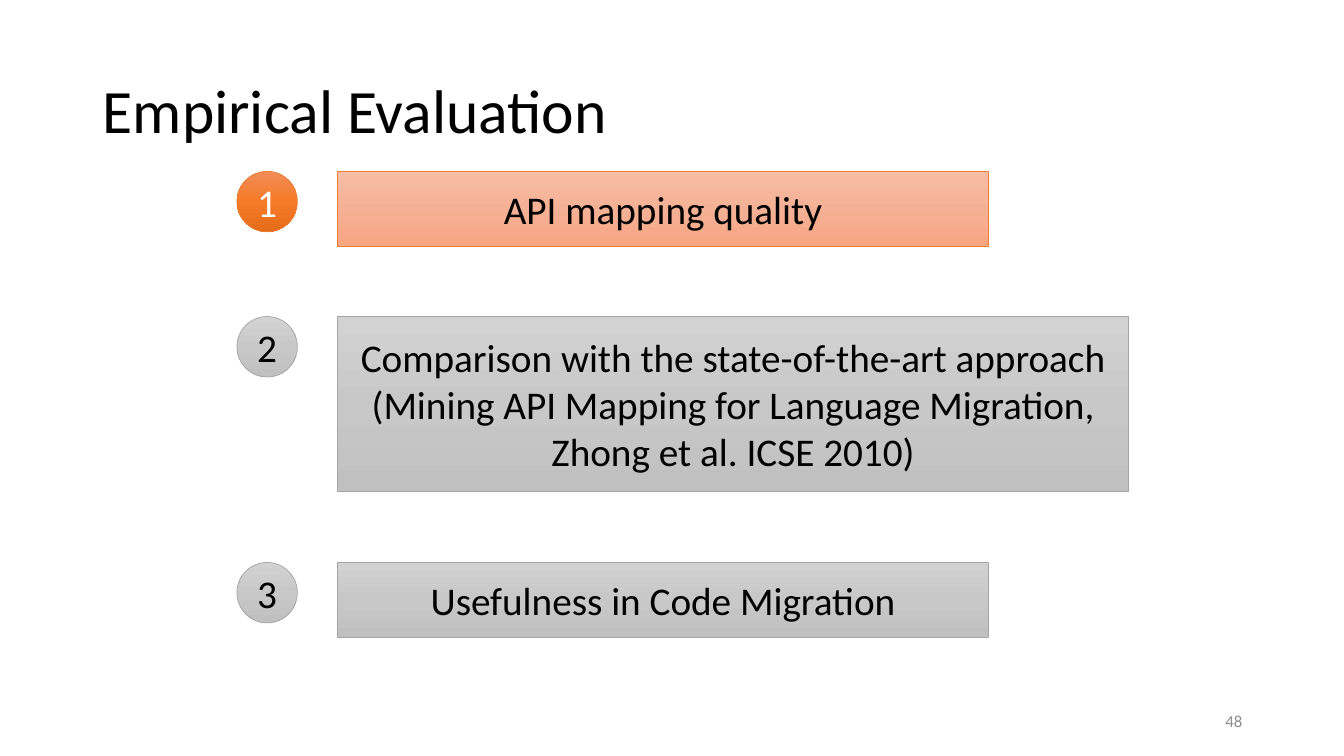
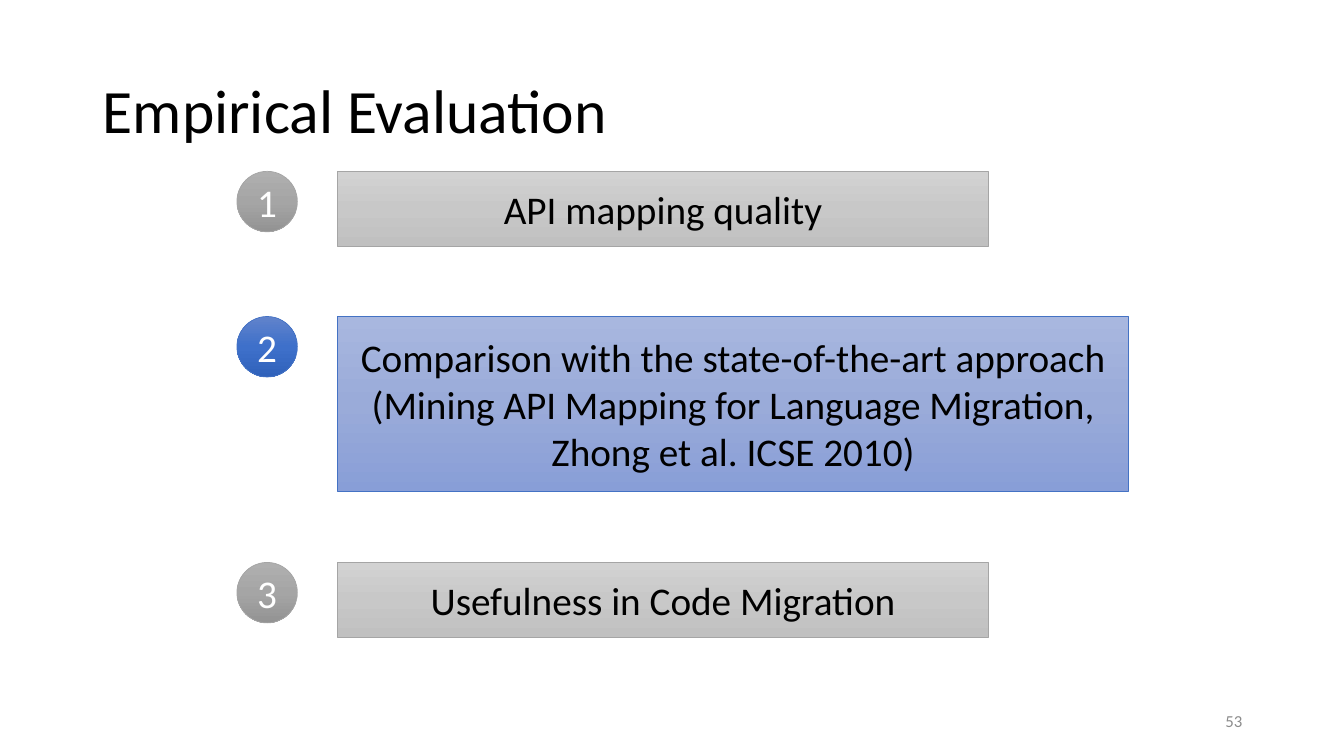
"""Build the two progress slides of the empirical evaluation."""
from copy import deepcopy
from dataclasses import dataclass

from pptx import Presentation
from pptx.dml.color import RGBColor
from pptx.enum.shapes import MSO_SHAPE
from pptx.enum.text import MSO_ANCHOR, PP_ALIGN
from pptx.oxml.ns import qn
from pptx.presentation import Presentation as Deck
from pptx.shapes.autoshape import Shape
from pptx.slide import Slide
from pptx.text.text import TextFrame
from pptx.util import Inches, Pt

RECTANGLE, OVAL = MSO_SHAPE.RECTANGLE, MSO_SHAPE.OVAL
LEFT, CENTER, RIGHT = PP_ALIGN.LEFT, PP_ALIGN.CENTER, PP_ALIGN.RIGHT
MIDDLE = MSO_ANCHOR.MIDDLE

FONT = "Calibri"
BLACK = RGBColor(0x00, 0x00, 0x00)
WHITE = RGBColor(0xFF, 0xFF, 0xFF)
NUMBER_GRAY = RGBColor(0x8C, 0x8C, 0x8C)
ORANGE = RGBColor(0xED, 0x7D, 0x31)
BLUE = RGBColor(0x44, 0x72, 0xC4)
GRAY = RGBColor(0xA5, 0xA5, 0xA5)

TITLE = "Empirical Evaluation"
TITLE_ONLY_LAYOUT = 5
FIRST_TOP, ROW_GAP = 1.7, 0.7
BADGE_LEFT, BADGE_SIZE, BOX_LEFT = 2.35, 0.6, 3.35


@dataclass(frozen=True)
class Look:
    """Gradient from top to bottom, outline and text colour of a shape."""

    stops: tuple[RGBColor, RGBColor, RGBColor]
    line: RGBColor
    text: RGBColor


@dataclass(frozen=True)
class Topic:
    """One numbered part of the evaluation."""

    text: str
    width: float
    height: float


@dataclass(frozen=True)
class Page:
    """One slide with its highlighted topic."""

    number: str
    active: int
    active_box: Look
    active_badge: Look
    idle_badge: Look


def make_look(top: str, middle: str, bottom: str, line: RGBColor, text: RGBColor = BLACK) -> Look:
    """Return a look from three hexadecimal gradient colours."""
    stops = (RGBColor.from_string(top), RGBColor.from_string(middle), RGBColor.from_string(bottom))
    return Look(stops, line, text)


PALE_ORANGE = make_look("F7BDA5", "F5B196", "F8A582", ORANGE)
STRONG_ORANGE = make_look("F18C57", "F67B28", "E56C19", ORANGE, WHITE)
PALE_BLUE = make_look("A8B7DF", "9AABD9", "889ED7", BLUE)
STRONG_BLUE = make_look("6183CB", "3E70CA", "3062BB", BLUE, WHITE)
PALE_GRAY = make_look("D2D2D2", "C8C8C8", "C0C0C0", GRAY)
STRONG_GRAY = make_look("AFAFAF", "A5A5A5", "939393", GRAY, WHITE)

TOPICS = (
    Topic("API mapping quality", 6.45, 0.74),
    Topic(
        "Comparison with the state-of-the-art approach\n"
        "(Mining API Mapping for Language Migration, Zhong et al. ICSE 2010)",
        7.84,
        1.74,
    ),
    Topic("Usefulness in Code Migration", 6.45, 0.74),
)
PAGES = (
    Page("48", 1, PALE_ORANGE, STRONG_ORANGE, PALE_GRAY),
    Page("53", 2, PALE_BLUE, STRONG_BLUE, STRONG_GRAY),
)


def write_text(
    frame: TextFrame,
    text: str,
    *,
    size: float = 28,
    color: RGBColor = BLACK,
    align: PP_ALIGN = CENTER,
    line_spacing: float = 1.0,
) -> None:
    """Fill a frame with one formatted paragraph for each line of text."""
    frame.text = text
    frame.word_wrap = True
    frame.vertical_anchor = MIDDLE
    for para in frame.paragraphs:
        para.alignment = align
        para.line_spacing = line_spacing
        for span in para.runs:
            span.font.name = FONT
            span.font.size = Pt(size)
            span.font.color.rgb = color


def paint(shape: Shape, look: Look) -> None:
    """Apply the gradient and thin outline of a look."""
    shape.shadow.inherit = False
    shape.fill.gradient()
    shape.fill.gradient_angle = 270
    stop_list = shape.element.spPr.find(qn("a:gradFill")).find(qn("a:gsLst"))
    stop_list.append(deepcopy(stop_list[0]))
    for index, (stop, color) in enumerate(zip(shape.fill.gradient_stops, look.stops)):
        stop.color.rgb = color
        stop.position = index / 2
    shape.line.color.rgb = look.line
    shape.line.width = Pt(0.5)


def add_box(
    slide: Slide,
    kind: MSO_SHAPE,
    left: float,
    top: float,
    width: float,
    height: float,
    text: str,
    look: Look,
) -> None:
    """Add a painted shape with centred text."""
    box = slide.shapes.add_shape(kind, Inches(left), Inches(top), Inches(width), Inches(height))
    paint(box, look)
    write_text(box.text_frame, text, color=look.text)


def add_frame(slide: Slide, number: str) -> None:
    """Set the title and the slide number."""
    title = slide.shapes.title
    title.left, title.top = Inches(0.92), Inches(0.4)
    title.width, title.height = Inches(11.5), Inches(1.45)
    write_text(title.text_frame, TITLE, size=44, align=LEFT, line_spacing=0.9)
    number_box = slide.shapes.add_textbox(Inches(9.42), Inches(6.95), Inches(3), Inches(0.4))
    write_text(number_box.text_frame, number, size=12, color=NUMBER_GRAY, align=RIGHT)


def add_page(deck: Deck, page: Page) -> None:
    """Add a slide listing the topics with one highlighted."""
    slide = deck.slides.add_slide(deck.slide_layouts[TITLE_ONLY_LAYOUT])
    add_frame(slide, page.number)
    top = FIRST_TOP
    for number, topic in enumerate(TOPICS, start=1):
        active = number == page.active
        box_look = page.active_box if active else PALE_GRAY
        badge_look = page.active_badge if active else page.idle_badge
        add_box(slide, RECTANGLE, BOX_LEFT, top, topic.width, topic.height, topic.text, box_look)
        add_box(slide, OVAL, BADGE_LEFT, top, BADGE_SIZE, BADGE_SIZE, str(number), badge_look)
        top += topic.height + ROW_GAP


def main() -> None:
    """Build and save the deck."""
    deck = Presentation()
    deck.slide_width, deck.slide_height = Inches(13.33), Inches(7.5)
    for page in PAGES:
        add_page(deck, page)
    deck.save("out.pptx")


if __name__ == "__main__":
    main()
